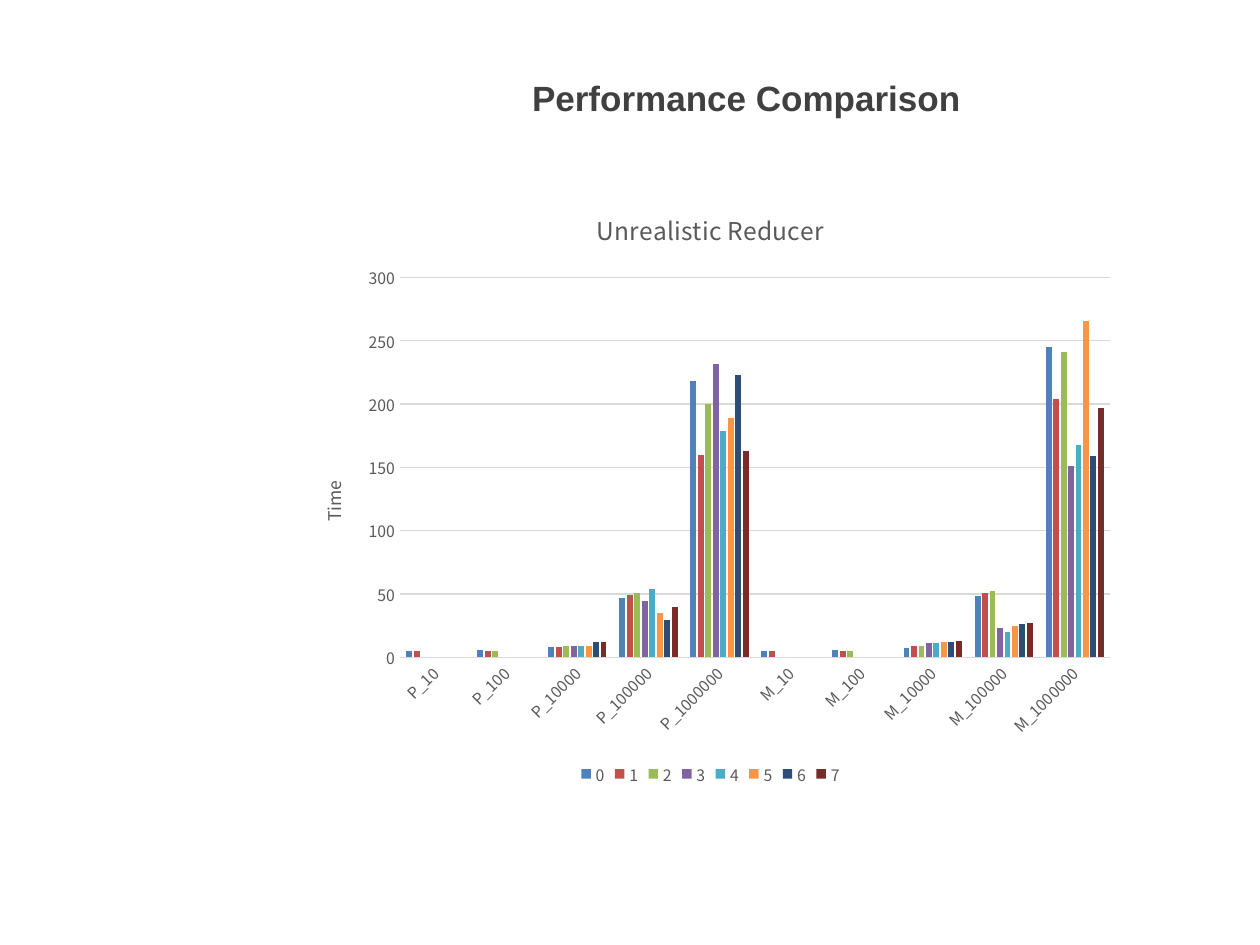
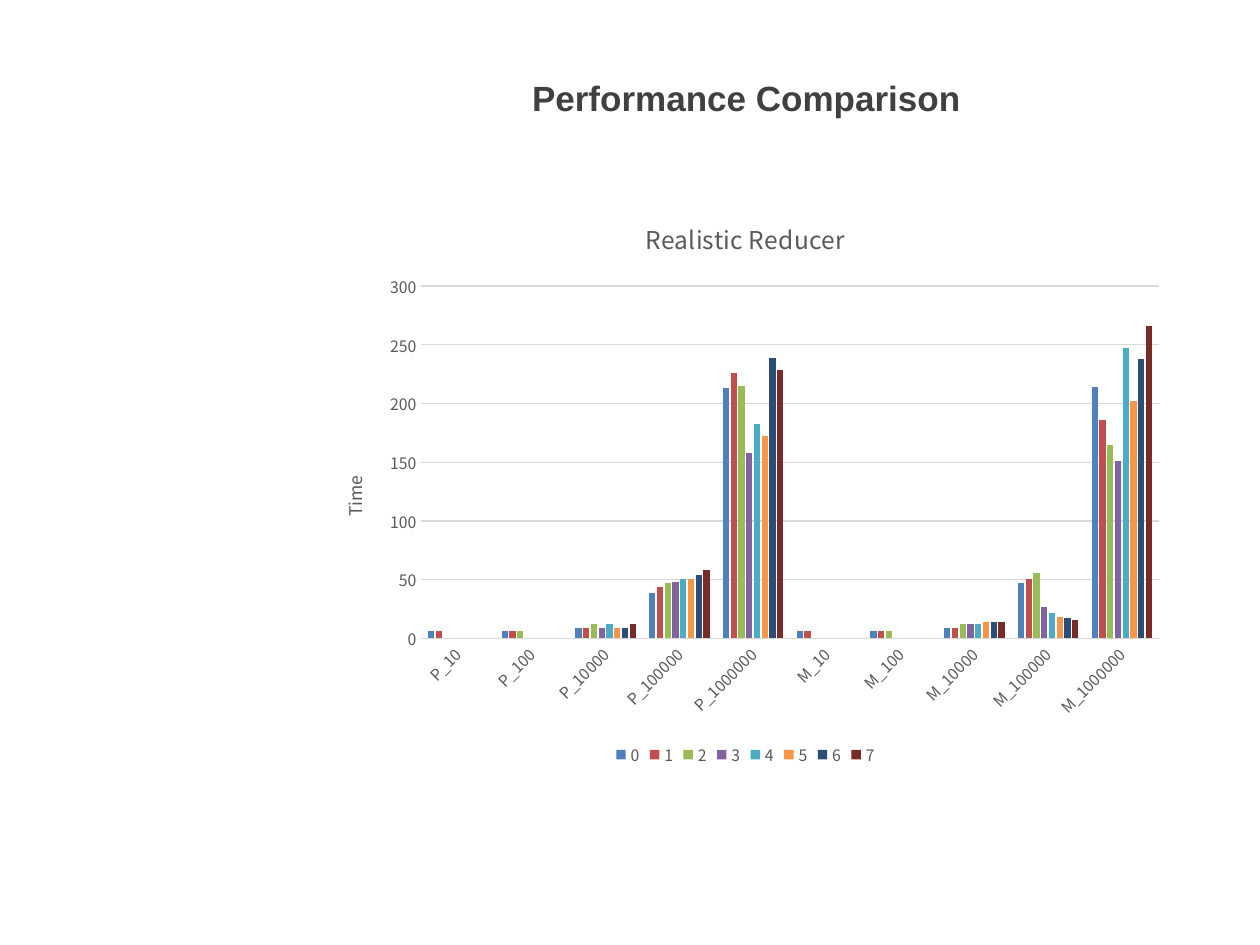
from dataclasses import dataclass

from pptx import Presentation
from pptx.chart.data import CategoryChartData as ChartData
from pptx.dml.color import RGBColor as RGB
from pptx.enum.chart import XL_CHART_TYPE as Kind
from pptx.enum.chart import XL_LEGEND_POSITION as Spot
from pptx.enum.chart import XL_TICK_MARK as Tick
from pptx.enum.text import MSO_ANCHOR as Anchor
from pptx.enum.text import PP_ALIGN as Align
from pptx.util import Pt


@dataclass(frozen=True)
class Theme:
    head: str = "404040"
    label: str = "595959"
    grid: str = "D9D9D9"
    bars: tuple = ("4F81BD", "C0504D", "9BBB59", "8064A2",
                   "4BACC6", "F79646", "2C4D75", "772C2A")
    head_font: str = "Arial"
    font: str = "Noto Sans CJK KR"
    head_size: int = 20
    name_size: float = 14
    axis_size: float = 10
    tick_size: float = 9


theme = Theme()


def style(font, size, color=theme.label, name=theme.font, bold=False):
    font.size, font.name, font.bold = Pt(size), name, bold
    font.color.rgb = RGB.from_string(color)


def write(frame, text, align=Align.CENTER, **look):
    """Fill a text frame with one formatted paragraph."""
    frame.text = text
    line = frame.paragraphs[0]
    line.alignment = align
    style(line.runs[0].font, **look)


groups = [f"{mode}_{size}" for mode in "PM"
          for size in (10, 100, 10000, 100000, 1000000)]

# Each chart: name, box in points, one row of times per series
charts = [
    ("Unrealistic Reducer", (168, 106, 476, 345.5), [
        [5, 6, 8, 47, 218, 5, 6, 7, 48, 245],
        [5, 5, 8, 49, 160, 5, 5, 9, 51, 204],
        [None, 5, 9, 51, 200, None, 5, 9, 52, 241],
        [None, None, 9, 44, 232, None, None, 11, 23, 151],
        [None, None, 9, 54, 179, None, None, 11, 20, 168],
        [None, None, 9, 35, 189, None, None, 12, 25, 266],
        [None, None, 12, 29, 223, None, None, 12, 26, 159],
        [None, None, 12, 40, 163, None, None, 13, 27, 197],
    ]),
    ("Realistic Reducer", (180, 111.5, 492, 329), [
        [6, 6, 9, 39, 213, 6, 6, 9, 47, 214],
        [6, 6, 9, 44, 226, 6, 6, 9, 51, 186],
        [None, 6, 12, 47, 215, None, 6, 12, 56, 165],
        [None, None, 9, 48, 158, None, None, 12, 27, 151],
        [None, None, 12, 51, 183, None, None, 12, 22, 247],
        [None, None, 9, 51, 172, None, None, 14, 18, 202],
        [None, None, 9, 54, 239, None, None, 14, 17, 238],
        [None, None, 12, 58, 229, None, None, 14, 16, 266],
    ]),
]

deck = Presentation()
deck.slide_width, deck.slide_height = Pt(720), Pt(540)

for name, box, rows in charts:
    slide = deck.slides.add_slide(deck.slide_layouts[5])
    head = slide.shapes.title
    head.left, head.top, head.width, head.height = map(Pt, (168, 37.5, 517, 36))
    head.text_frame.vertical_anchor = Anchor.MIDDLE
    write(head.text_frame, "Performance Comparison", size=theme.head_size,
          color=theme.head, name=theme.head_font, bold=True)

    data = ChartData()
    data.categories = groups
    for index, row in enumerate(rows):
        data.add_series(str(index), row)
    chart = slide.shapes.add_chart(
        Kind.COLUMN_CLUSTERED, *map(Pt, box), data).chart
    style(chart.font, theme.axis_size)
    chart.has_title = True
    write(chart.chart_title.text_frame, name, size=theme.name_size)

    plot = chart.plots[0]
    plot.gap_width, plot.overlap = 219, -27
    plot.vary_by_categories = False
    for bar, color in zip(plot.series, theme.bars):
        bar.format.fill.solid()
        bar.format.fill.fore_color.rgb = RGB.from_string(color)
        bar.invert_if_negative = False

    cat, val = chart.category_axis, chart.value_axis
    for axis in (cat, val):
        axis.major_tick_mark = axis.minor_tick_mark = Tick.NONE
        style(axis.tick_labels.font, theme.tick_size)
    val.minimum_scale, val.maximum_scale, val.major_unit = 0, 300, 50
    val.format.line.fill.background()
    val.has_major_gridlines = True
    for line in (cat.format.line, val.major_gridlines.format.line):
        line.width = Pt(0.75)
        line.color.rgb = RGB.from_string(theme.grid)
    write(val.axis_title.text_frame, "Time", size=theme.axis_size)

    # Slanted category labels and an upright value title
    for place, turn in (("c:catAx/c:txPr", -45), ("c:valAx/c:title", -90)):
        for body in chart.element.xpath(f".//{place}//a:bodyPr"):
            body.set("rot", str(turn * 60000))
            body.set("vert", "horz")

    chart.has_legend = True
    chart.legend.position = Spot.BOTTOM
    chart.legend.include_in_layout = False
    style(chart.legend.font, theme.tick_size)

deck.save("out.pptx")
